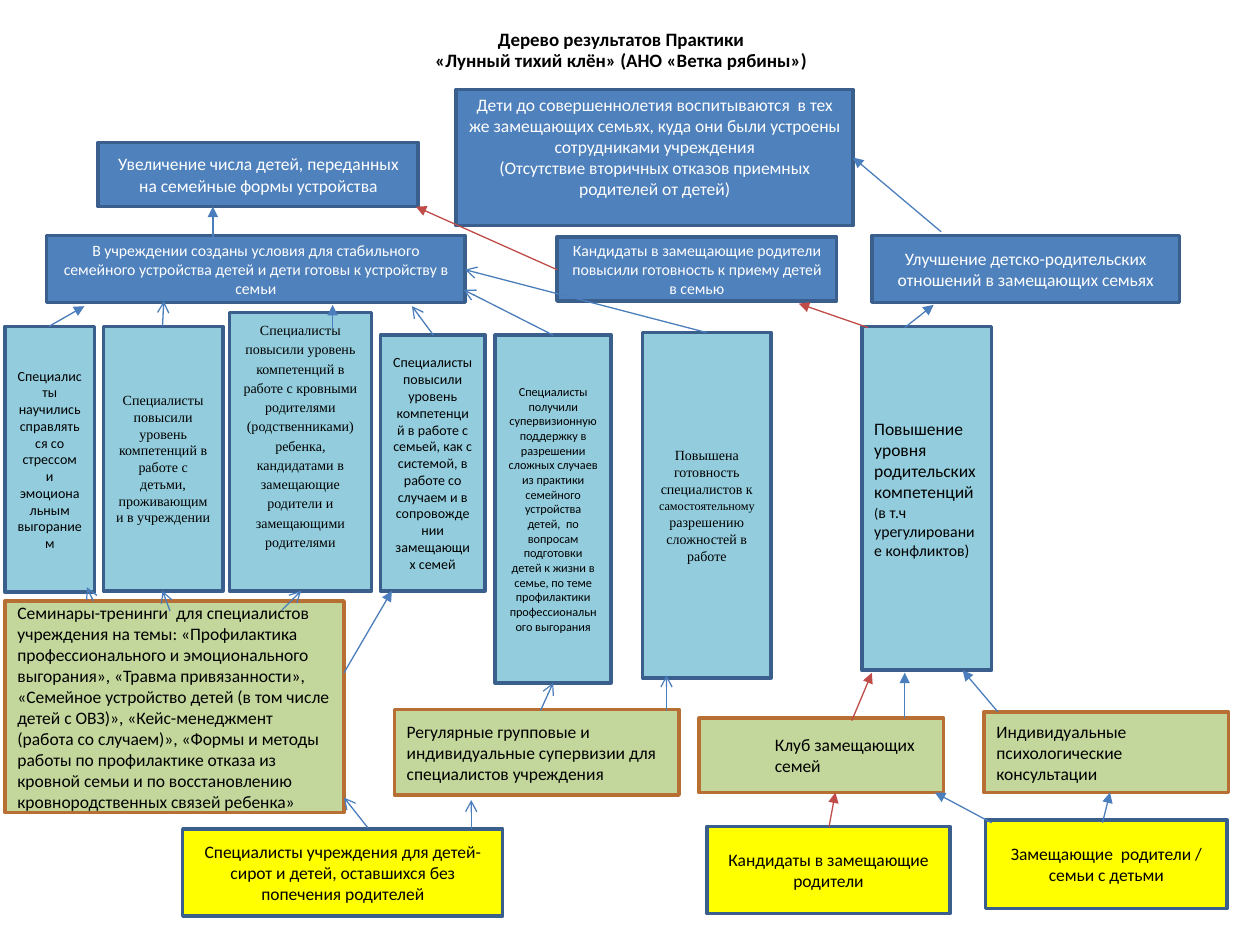
"""Build the slide with the results tree of a foster-care practice."""
import pptx
import pptx.util
import pptx.dml.color
import pptx.enum.shapes
import pptx.enum.text
import pptx.oxml.ns
import lxml.etree

PX = 9144
C = {"blue": "4F81BD", "aqua": "93CDDD", "green": "C3D69B", "yellow": "FFFF00",
     "navy": "3A5F8C", "brown": "B76F34", "black": "000000", "white": "FFFFFF",
     "arrow_blue": "4B7EBC", "arrow_red": "BF4C48"}
ALIGN = pptx.enum.text.PP_ALIGN
ANCHOR = pptx.enum.text.MSO_ANCHOR
SANS, SERIF = "Calibri", "Times New Roman"


def rgb(name):
    return pptx.dml.color.RGBColor.from_string(C[name])


def write(tf, runs, color, font, align, frame, para):
    for k, v in {"word_wrap": True, "vertical_anchor": ANCHOR.MIDDLE, **frame}.items():
        setattr(tf, k, v)
    p = tf.paragraphs[0]
    for text, size in runs:
        for i, line in enumerate(text.split("\n")):
            if i:
                p = tf.add_paragraph()
            for k, v in {"alignment": align, **para}.items():
                setattr(p, k, v)
            r = p.add_run()
            r.text = line
            for k, v in {"name": font, "size": pptx.util.Pt(size), "bold": color == "title"}.items():
                setattr(r.font, k, v)
            r.font.color.rgb = rgb("black" if color == "title" else color)


prs = pptx.Presentation()
prs.slide_width, prs.slide_height = 1000 * PX, 750 * PX
s = prs.slides.add_slide(prs.slide_layouts[6])

sp = s.shapes.add_textbox(28 * PX, 17 * PX, 930 * PX, 47 * PX)
title = "Дерево результатов Практики\n«Лунный тихий клён» (АНО «Ветка рябины»)"
write(sp.text_frame, [(title, 10.8)], "title", SANS, ALIGN.CENTER, {}, {"line_spacing": 0.9})

styles = {
    "blue": ("navy", "white", ALIGN.CENTER),
    "aqua": ("navy", "black", ALIGN.CENTER),
    "green": ("brown", "black", ALIGN.LEFT),
    "yellow": ("navy", "black", ALIGN.CENTER),
}
boxes = [
    ("yellow", (145, 658, 254, 69), SANS, 10,
     "Специалисты учреждения для детей-сирот и детей, оставшихся без попечения родителей"),
    ("yellow", (782, 651, 192, 70), SANS, 10, "Замещающие  родители / семьи с детьми"),
    ("yellow", (561, 656, 193, 69), SANS, 10, "Кандидаты в замещающие родители"),
    ("green", (4, 477, 269, 168), SANS, 10,
     "Семинары-тренинги  для специалистов учреждения на темы: «Профилактика\n"
     "профессионального и эмоционального\n"
     "выгорания», «Травма привязанности», «Семейное устройство детей "
     "(в том числе детей с ОВЗ)», «Кейс-менеджмент\n"
     "(работа со случаем)», «Формы и методы работы по профилактике отказа из кровной "
     "семьи и по восстановлению кровнородственных связей ребенка»"),
    ("green", (781, 565, 194, 64), SANS, 10, "Индивидуальные психологические консультации"),
    ("green", (555, 570, 194, 59), SANS, 10, "Клуб замещающих семей"),
    ("green", (313, 563, 226, 68), SANS, 10,
     "Регулярные групповые и индивидуальные супервизии для специалистов учреждения"),
    ("blue", (692, 187, 244, 53), SANS, 10,
     "Улучшение детско-родительских отношений в замещающих семьях"),
    ("blue", (442, 188, 222, 51), SANS, 9,
     "Кандидаты в замещающие родители повысили готовность к приему детей в семью"),
    ("blue", (362, 71, 315, 108), SANS, 10,
     "Дети до совершеннолетия воспитываются  в тех же замещающих семьях, куда они были "
     "устроены сотрудниками учреждения\n"
     "(Отсутствие вторичных отказов приемных родителей от детей)"),
    ("blue", (78, 113, 254, 51), SANS, 10,
     "Увеличение числа детей, переданных на семейные формы устройства"),
    ("blue", (37, 187, 332, 53), SANS, 9,
     "В учреждении созданы условия для стабильного семейного устройства детей "
     "и дети готовы к устройству в семьи"),
    ("aqua", (684, 259, 103, 273), SANS, 10,
     [("Повышение уровня родительских компетенций", 10), (" (", 8),
      ("в т.ч урегулирование конфликтов)", 9)]),
    ("aqua", (302, 266, 83, 203), SANS, 8,
     "Специалисты повысили уровень компетенций в работе с семьей, как с системой, "
     "в работе со случаем и в сопровождении замещающих семей"),
    ("aqua", (4, 259, 71, 211), SANS, 8,
     "Специалисты научились справляться со стрессом и эмоциональным выгоранием"),
    ("aqua", (82, 259, 95, 210), SERIF, 8,
     "Специалисты повысили уровень компетенций в работе с детьми, проживающими в учреждении"),
    ("aqua", (510, 264, 102, 274), SERIF, 8,
     [("Повышена готовность специалистов к ", 8), ("самостоятельному", 7),
      (" разрешению сложностей в работе", 8)]),
    ("aqua", (393, 266, 92, 276), SANS, 7,
     "Специалисты получили супервизионную поддержку в разрешении сложных случаев из практики "
     "семейного устройства детей,  по вопросам подготовки детей к жизни в семье, "
     "по теме профилактики профессионального выгорания"),
    ("aqua", (182, 248, 113, 221), SERIF, 8,
     "Специалисты повысили уровень компетенций в работе с кровными родителями "
     "(родственниками) ребенка, кандидатами в замещающие родители и замещающими родителями"),
]
frames = {
    (555, 570): {"margin_left": 60 * PX},
    (362, 71): {"margin_bottom": 22 * PX},
    (684, 259): {"margin_bottom": 20 * PX},
    (182, 248): {"margin_bottom": 32 * PX},
}
paras = {
    (684, 259): {"alignment": ALIGN.LEFT},
    (182, 248): {"line_spacing": 1.15},
}
for style, rect, font, size, text in boxes:
    edge, color, align = styles[style]
    sp = s.shapes.add_shape(pptx.enum.shapes.MSO_SHAPE.RECTANGLE, *(v * PX for v in rect))
    sp.shadow.inherit = False
    sp.fill.solid()
    sp.fill.fore_color.rgb = rgb(style)
    sp.line.color.rgb = rgb(edge)
    sp.line.width = pptx.util.Pt(2)
    runs = [(text, size)] if isinstance(text, str) else text
    write(sp.text_frame, runs, color, font, align,
          frames.get(rect[:2], {}), paras.get(rect[:2], {}))

arrows = {
    ("arrow_blue", "triangle"): [
        (787, 653, 742, 629), (875, 653, 881, 629), (747, 184, 677, 125),
        (39, 259, 67, 243), (718, 260, 741, 242), (169, 188, 169, 164),
        (792, 565, 764, 532), (718, 570, 718, 534), (273, 534, 311, 469),
        (264, 261, 264, 242)],
    ("arrow_blue", "arrow"): [
        (292, 657, 273, 633), (374, 658, 374, 635), (74, 477, 69, 466),
        (135, 485, 129, 469), (224, 484, 239, 469), (429, 564, 439, 542),
        (129, 259, 130, 239), (344, 266, 327, 243), (439, 266, 368, 230),
        (561, 264, 369, 214), (529, 564, 529, 536)],
    ("arrow_red", "triangle"): [
        (658, 656, 663, 629), (676, 572, 692, 534), (689, 260, 634, 241),
        (442, 214, 330, 164)],
}
qn = pptx.oxml.ns.qn
for (color, head), lines in arrows.items():
    for ends in lines:
        sp = s.shapes.add_connector(pptx.enum.shapes.MSO_CONNECTOR.STRAIGHT,
                                    *(v * PX for v in ends))
        sp.line.color.rgb = rgb(color)
        sp.line.width = pptx.util.Pt(0.75)
        spPr = sp.line._get_or_add_ln().getparent()
        lxml.etree.SubElement(spPr.find(qn("a:ln")), qn("a:tailEnd"), type=head)
        lxml.etree.SubElement(spPr, qn("a:effectLst"))

prs.save("out.pptx")
